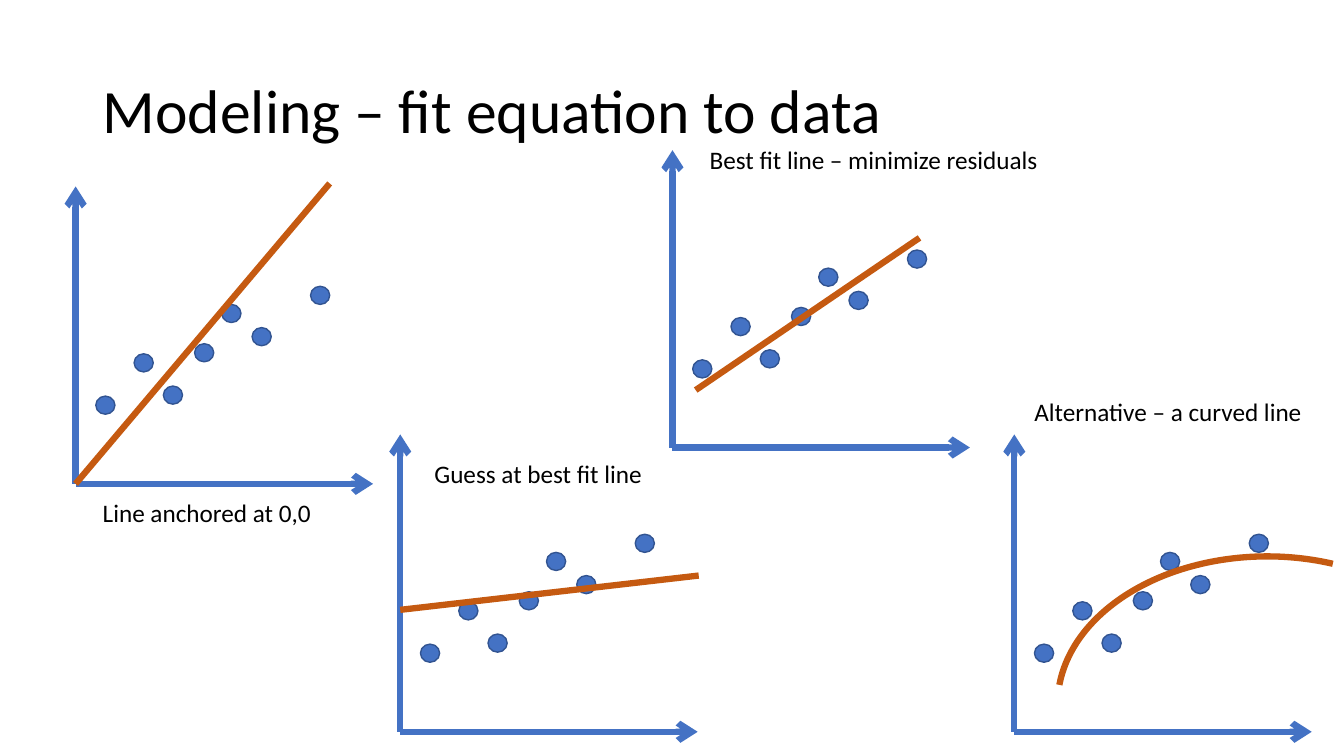
import pptx
import pptx.dml.color
import pptx.enum.shapes
import pptx.enum.text
import pptx.oxml.ns
import pptx.util
from lxml import etree

Inches = pptx.util.Inches
Pt = pptx.util.Pt

TITLE = "Modeling – fit equation to data"
BLUE, DARK_BLUE, ORANGE, BLACK = "4472C4", "325491", "C55A11", "000000"
FONT = "Calibri"
AXIS_LENGTH = 2.95
DOT_SIZE = (0.19, 0.18)
THICK = 4.5

# Dot corners, measured from the origin of each plot
DOTS = [(0.2, -0.87), (0.58, -1.29), (0.87, -0.97), (1.18, -1.39),
        (1.45, -1.78), (2.33, -1.96), (1.75, -1.55)]

# Each plot: origin, and the ends of its straight fit line if it has one
PLOTS = [
    {"origin": (0.75, 4.8), "fit": ((3.27, 1.82), (0.75, 4.8))},
    {"origin": (3.97, 7.26), "fit": ((6.93, 5.71), (3.97, 6.05))},
    {"origin": (6.67, 4.44), "fit": ((9.12, 2.36), (6.9, 3.87))},
    {"origin": (10.06, 7.26), "fit": None},
]
CURVE_BOX = (10.49, 5.52, 4.16, 2.93)
CURVE_ANGLES = (111.16, 177.01)

LABELS = [
    ("Line anchored at 0,0", (0.92, 4.88, 2.29, 0.4)),
    ("Guess at best fit line", (4.21, 4.5, 2.28, 0.4)),
    ("Best fit line – minimize residuals", (6.94, 1.38, 3.49, 0.4)),
    ("Alternative – a curved line", (10.16, 3.88, 2.89, 0.4)),
]


def color(hex_string):
    return pptx.dml.color.RGBColor.from_string(hex_string)


def inches(values):
    return [Inches(value) for value in values]


def style_line(line, hex_string, width):
    line.color.rgb = color(hex_string)
    line.width = Pt(width)


def add_line(shapes, start, end, hex_string, arrow=False):
    connector = shapes.add_connector(
        pptx.enum.shapes.MSO_CONNECTOR.STRAIGHT, *inches(start + end))
    style_line(connector.line, hex_string, THICK)
    properties = connector._element.spPr
    if arrow:
        outline = properties.find(pptx.oxml.ns.qn("a:ln"))
        etree.SubElement(outline, pptx.oxml.ns.qn("a:headEnd"), type="arrow")
    etree.SubElement(properties, pptx.oxml.ns.qn("a:effectLst"))


def add_axes_and_dots(page, origin):
    left, bottom = origin
    shapes = page.shapes.add_group_shape().shapes
    add_line(shapes, (left, bottom - AXIS_LENGTH), origin, BLUE, arrow=True)
    add_line(shapes, (left + AXIS_LENGTH, bottom), origin, BLUE, arrow=True)
    for across, down in DOTS:
        dot = shapes.add_shape(
            pptx.enum.shapes.MSO_SHAPE.OVAL,
            *inches((left + across, bottom + down) + DOT_SIZE))
        dot.shadow.inherit = False
        dot.fill.solid()
        dot.fill.fore_color.rgb = color(BLUE)
        style_line(dot.line, DARK_BLUE, 1)


def add_curve(page):
    curve = page.shapes.add_shape(
        pptx.enum.shapes.MSO_SHAPE.ARC, *inches(CURVE_BOX))
    for index, angle in enumerate(CURVE_ANGLES):
        curve.adjustments[index] = angle
    curve.shadow.inherit = False
    curve.fill.background()
    style_line(curve.line, ORANGE, THICK)


def write(frame, text, size):
    para = frame.paragraphs[0]
    para.alignment = pptx.enum.text.PP_ALIGN.LEFT
    span = para.add_run()
    span.text = text
    span.font.name = FONT
    span.font.size = Pt(size)
    span.font.color.rgb = color(BLACK)
    return para


def add_label(page, text, place):
    box = page.shapes.add_textbox(*inches(place))
    box.text_frame.word_wrap = False
    box.text_frame.auto_size = pptx.enum.text.MSO_AUTO_SIZE.SHAPE_TO_FIT_TEXT
    write(box.text_frame, text, 18)


def main():
    deck = pptx.Presentation()
    deck.slide_width, deck.slide_height = Inches(13.33), Inches(7.5)
    page = deck.slides.add_slide(deck.slide_layouts[5])

    # Title
    title = page.shapes.title
    title.left, title.top, title.width, title.height = inches(
        (0.92, 0.4, 11.5, 1.45))
    title.text_frame.vertical_anchor = pptx.enum.text.MSO_ANCHOR.MIDDLE
    write(title.text_frame, TITLE, 44).line_spacing = 0.9

    # Plots with their fit lines
    for plot in PLOTS:
        add_axes_and_dots(page, plot["origin"])
        if plot["fit"]:
            add_line(page.shapes, *plot["fit"], ORANGE)
    add_curve(page)

    # Labels
    for text, place in LABELS:
        add_label(page, text, place)

    deck.save("out.pptx")


if __name__ == "__main__":
    main()
